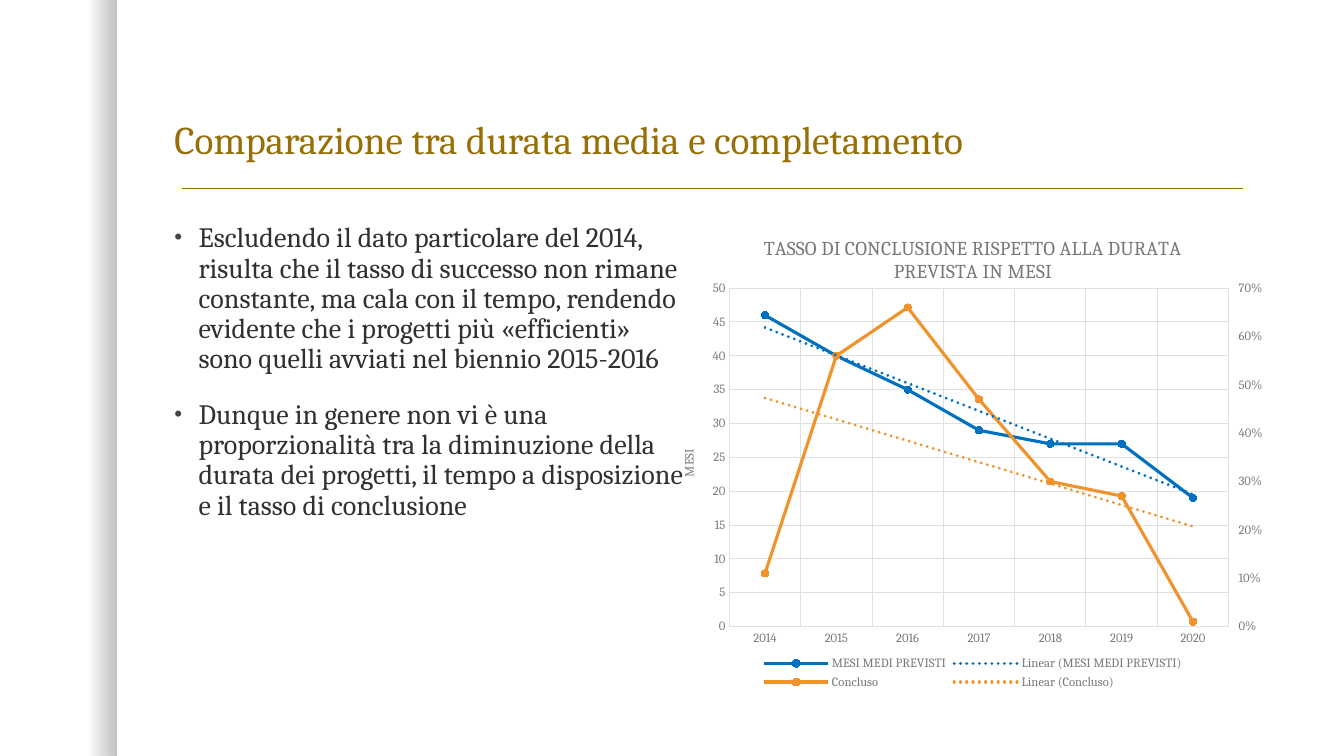
from copy import deepcopy

from lxml import etree
from pptx import Presentation
from pptx.chart.data import CategoryChartData
from pptx.dml.color import RGBColor
from pptx.enum import chart as ch, shapes, text
from pptx.oxml import parse_xml
from pptx.oxml.ns import nsdecls, qn
from pptx.util import Inches, Pt

FONT = "Cambria"
GOLD = RGBColor(0x98, 0x6F, 0x07)
DARK = RGBColor(0x30, 0x30, 0x30)
GREY = RGBColor(0x78, 0x78, 0x78)
GRID = RGBColor(0xE0, 0xE0, 0xE0)
BLACK = RGBColor(0, 0, 0)
BLUE = RGBColor(0x00, 0x70, 0xC0)
ORANGE = RGBColor(0xF0, 0x93, 0x2C)

TITLE = "Comparazione tra durata media e completamento"
POINTS = [
    "Escludendo il dato particolare del 2014, risulta che il tasso di successo "
    "non rimane constante, ma cala con il tempo, rendendo evidente che i progetti "
    "più «efficienti» sono quelli avviati nel biennio 2015-2016",
    "Dunque in genere non vi è una proporzionalità tra la diminuzione della durata "
    "dei progetti, il tempo a disposizione e il tasso di conclusione",
]
CHART_TITLE = "TASSO DI CONCLUSIONE RISPETTO ALLA DURATA PREVISTA IN MESI"
MONTHS_TITLE = "MESI"
YEARS = [str(year) for year in range(2014, 2021)]
SERIES = [
    ("MESI MEDI PREVISTI", [46, 40, 35, 29, 27, 27, 19], BLUE),
    ("Concluso", [0.11, 0.56, 0.66, 0.47, 0.3, 0.27, 0.01], ORANGE),
]
PLOT_AREA = {"x": 0.1, "y": 0.15, "w": 0.82, "h": 0.71}


def set_font(font, size, color):
    font.name, font.size, font.bold = FONT, Pt(size), False
    font.color.rgb = color


def place(shape, left, top, width, height):
    shape.left, shape.top = Inches(left), Inches(top)
    shape.width, shape.height = Inches(width), Inches(height)


def add_edge_shade(slide):
    """Strip on the left that darkens towards its right edge."""
    shade = slide.shapes.add_shape(
        shapes.MSO_SHAPE.RECTANGLE, 0, 0, Inches(1.16), Inches(7.5))
    shade.shadow.inherit = False
    shade.line.fill.background()
    shade.fill.gradient()
    shade.fill.gradient_angle = 0
    for stop, position in zip(shade.fill.gradient_stops, (0.75, 1)):
        stop.position = position
        stop.color.rgb = BLACK
    for color, alpha in zip(shade._element.spPr.iter(qn("a:srgbClr")), (0, 25000)):
        etree.SubElement(color, qn("a:alpha")).set("val", str(alpha))


def add_rule(slide):
    rule = slide.shapes.add_connector(
        shapes.MSO_CONNECTOR.STRAIGHT,
        Inches(1.81), Inches(1.87), Inches(12.33), Inches(1.87))
    rule.line.color.rgb = GOLD
    rule.line.width = Pt(1)
    etree.SubElement(rule._element.spPr, qn("a:effectLst"))


def fill_title(title):
    place(title, 1.63, 0.99, 10.75, 0.68)
    frame = title.text_frame
    frame.text = TITLE
    frame.auto_size = text.MSO_AUTO_SIZE.NONE
    frame.vertical_anchor = text.MSO_ANCHOR.BOTTOM
    heading = frame.paragraphs[0]
    heading.alignment = text.PP_ALIGN.LEFT
    heading.line_spacing = 0.9
    set_font(heading.font, 28, GOLD)


def fill_body(body):
    place(body, 1.63, 2.17, 5.25, 4.58)
    frame = body.text_frame
    frame.text = "\n".join(POINTS)
    frame.auto_size = text.MSO_AUTO_SIZE.NONE
    for i, point in enumerate(frame.paragraphs):
        point.line_spacing = 0.9
        point.space_before = Pt(18 if i else 0)
        props = point._p.get_or_add_pPr()
        props.set("marL", str(Inches(0.24)))
        props.set("indent", str(-Inches(0.24)))
        for bullet in (
            f'<a:buClr {nsdecls("a")}><a:srgbClr val="454545"/></a:buClr>',
            f'<a:buSzPct {nsdecls("a")} val="80000"/>',
            f'<a:buFont {nsdecls("a")} typeface="Arial"/>',
            f'<a:buChar {nsdecls("a")} char="•"/>',
        ):
            props.append(parse_xml(bullet))
        set_font(point.font, 20, DARK)


def style_series(series, color):
    series.smooth = False
    series.format.line.color.rgb = color
    series.format.line.width = Pt(2.25)
    marker = series.marker
    marker.style, marker.size = ch.XL_MARKER_STYLE.CIRCLE, 5
    marker.format.fill.solid()
    marker.format.fill.fore_color.rgb = color
    marker.format.line.color.rgb = color
    trend = parse_xml(
        f'<c:trendline {nsdecls("c", "a")}><c:spPr><a:ln w="{Pt(2.25)}" cap="rnd">'
        f'<a:solidFill><a:srgbClr val="{color}"/></a:solidFill>'
        '<a:prstDash val="sysDot"/></a:ln></c:spPr><c:trendlineType val="linear"/>'
        '<c:dispRSqr val="0"/><c:dispEq val="0"/></c:trendline>')
    series._element.find(qn("c:cat")).addprevious(trend)


def style_axes(chart):
    years, months = chart.category_axis, chart.value_axis
    for axis in (years, months):
        axis.major_tick_mark = ch.XL_TICK_MARK.NONE
        axis.has_major_gridlines = True
        axis.major_gridlines.format.line.color.rgb = GRID
        axis.major_gridlines.format.line.width = Pt(0.75)
        set_font(axis.tick_labels.font, 9, GREY)
    years.format.line.color.rgb = GRID
    years.format.line.width = Pt(0.75)
    months.format.line.fill.background()
    months.minimum_scale, months.maximum_scale, months.major_unit = 0, 50, 5
    months.tick_labels.number_format = "0"
    months.tick_labels.number_format_is_linked = False
    months.axis_title.text_frame.text = MONTHS_TITLE
    set_font(months.axis_title.text_frame.paragraphs[0].font, 9, GREY)


def move_last_series_right(chart):
    """Put the last series on its own percentage axis at the right."""
    plot_area = chart._chartSpace.chart.plotArea
    left = plot_area.find(qn("c:lineChart"))
    right = deepcopy(left)
    left.remove(left.findall(qn("c:ser"))[-1])
    right.remove(right.findall(qn("c:ser"))[0])
    left.addnext(right)
    for axis_id, number in zip(right.findall(qn("c:axId")), ("5001", "5002")):
        axis_id.set("val", number)
    label_font = deepcopy(plot_area.find(qn("c:valAx")).find(qn("c:txPr")))
    percent_axis = parse_xml(
        f'<c:valAx {nsdecls("c", "a")}><c:axId val="5002"/><c:scaling>'
        '<c:orientation val="minMax"/><c:max val="0.7"/><c:min val="0"/></c:scaling>'
        '<c:delete val="0"/><c:axPos val="r"/>'
        '<c:numFmt formatCode="0%" sourceLinked="0"/><c:majorTickMark val="out"/>'
        '<c:minorTickMark val="none"/><c:tickLblPos val="nextTo"/>'
        '<c:spPr><a:ln><a:noFill/></a:ln></c:spPr><c:crossAx val="5001"/>'
        '<c:crosses val="max"/><c:crossBetween val="between"/>'
        '<c:majorUnit val="0.1"/></c:valAx>')
    percent_axis.find(qn("c:spPr")).addnext(label_font)
    hidden_years = parse_xml(
        f'<c:catAx {nsdecls("c")}><c:axId val="5001"/><c:scaling>'
        '<c:orientation val="minMax"/></c:scaling><c:delete val="1"/>'
        '<c:axPos val="b"/><c:majorTickMark val="none"/><c:minorTickMark val="none"/>'
        '<c:tickLblPos val="nextTo"/><c:crossAx val="5002"/>'
        '<c:crosses val="autoZero"/></c:catAx>')
    months_axis = plot_area.find(qn("c:valAx"))
    months_axis.addnext(percent_axis)
    percent_axis.addnext(hidden_years)


def fix_plot_area(chart):
    plot_area = chart._chartSpace.chart.plotArea
    for old in plot_area.findall(qn("c:layout")):
        plot_area.remove(old)
    modes = '<c:xMode val="edge"/><c:yMode val="edge"/>'
    sizes = "".join(f'<c:{key} val="{value}"/>' for key, value in PLOT_AREA.items())
    plot_area.insert(0, parse_xml(
        f'<c:layout {nsdecls("c")}><c:manualLayout><c:layoutTarget val="inner"/>'
        f'{modes}{sizes}</c:manualLayout></c:layout>'))


def add_comparison_chart(slide):
    data = CategoryChartData()
    data.categories = YEARS
    for name, values, _ in SERIES:
        data.add_series(name, values)
    chart = slide.shapes.add_chart(
        ch.XL_CHART_TYPE.LINE_MARKERS, Inches(6.63), Inches(2.15),
        Inches(6.04), Inches(4.73), data).chart
    set_font(chart.font, 10, DARK)
    chart.chart_title.text_frame.text = CHART_TITLE
    set_font(chart.chart_title.text_frame.paragraphs[0].font, 14, GREY)
    chart.has_legend = True
    chart.legend.position = ch.XL_LEGEND_POSITION.BOTTOM
    chart.legend.include_in_layout = False
    set_font(chart.legend.font, 9, GREY)
    chart.plots[0].vary_by_categories = False
    for series, (_, _, color) in zip(chart.plots[0].series, SERIES):
        style_series(series, color)
    style_axes(chart)
    move_last_series_right(chart)
    fix_plot_area(chart)


def main():
    deck = Presentation()
    deck.slide_width, deck.slide_height = Inches(13.33), Inches(7.5)
    slide = deck.slides.add_slide(deck.slide_layouts[1])
    add_edge_shade(slide)
    add_rule(slide)
    fill_title(slide.shapes.title)
    fill_body(slide.placeholders[1])
    add_comparison_chart(slide)
    deck.save("out.pptx")


if __name__ == "__main__":
    main()
